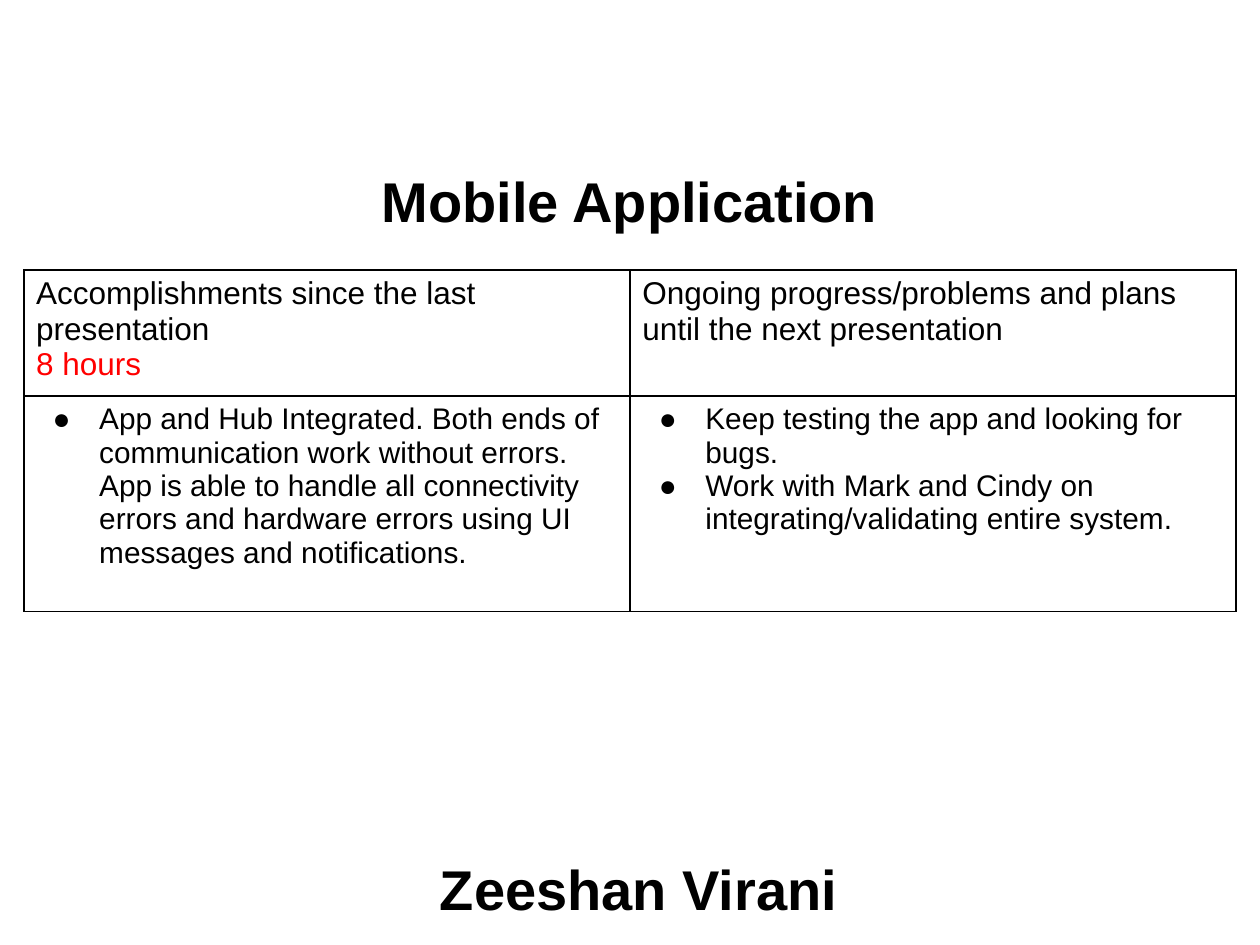
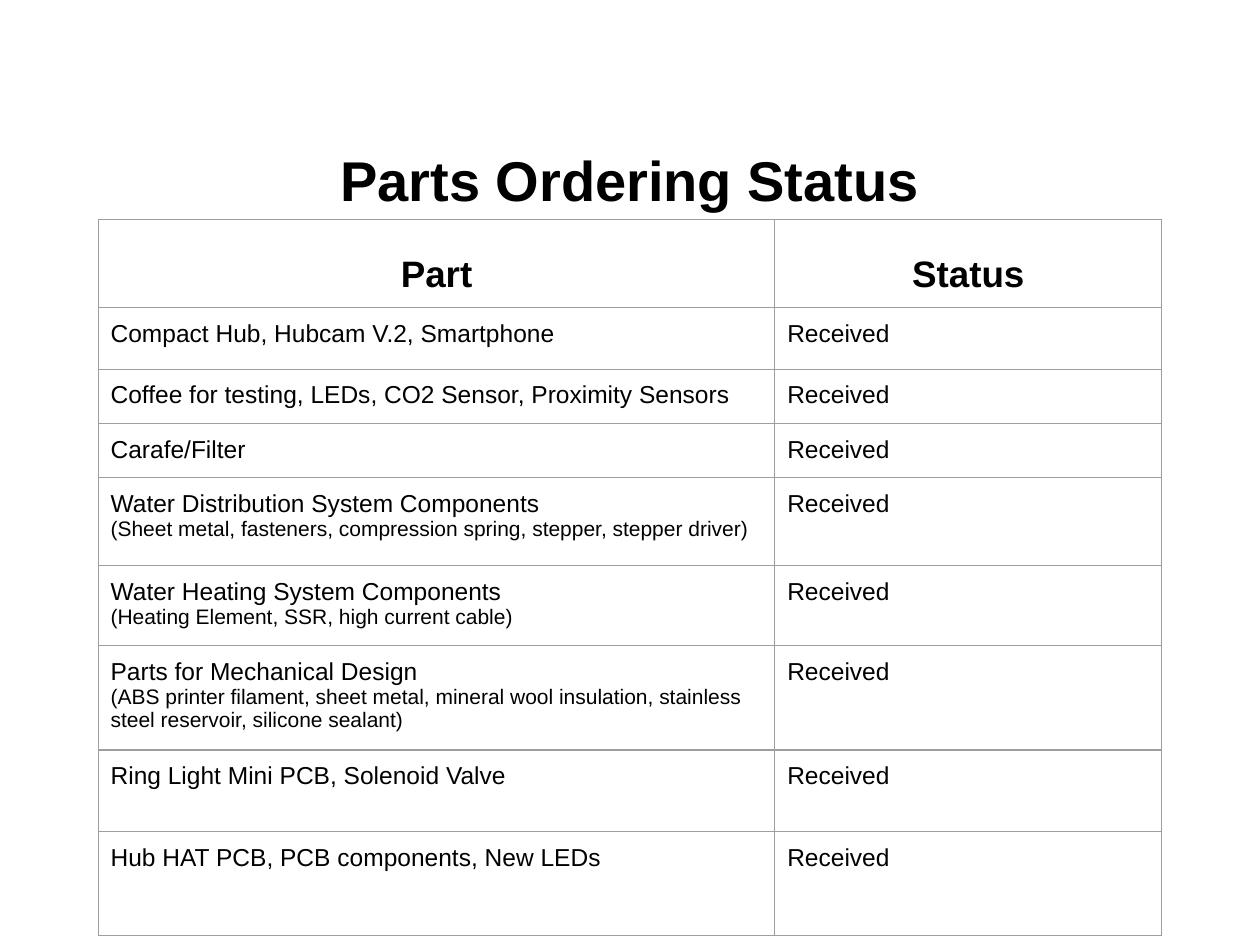
from dataclasses import dataclass

from lxml import etree
from pptx import Presentation
from pptx.dml.color import RGBColor
from pptx.enum.text import MSO_ANCHOR, PP_ALIGN
from pptx.oxml.ns import qn
from pptx.util import Cm, Pt

LEFT, CENTER = PP_ALIGN.LEFT, PP_ALIGN.CENTER
TOP, MIDDLE, BOTTOM = MSO_ANCHOR.TOP, MSO_ANCHOR.MIDDLE, MSO_ANCHOR.BOTTOM
BLANK = 6


@dataclass(frozen=True)
class Theme:
    font: str = "Arial"
    ink: str = "000000"
    paper: str = "FFFFFF"
    alert: str = "FF0000"
    rule: str = "9E9E9E"
    title: int = 32
    head: int = 21
    topic: int = 18
    point: int = 17
    body: int = 14
    note: int = 12
    pad: float = 0.25
    slim: float = 0.13
    indent: float = 1.27
    hang: float = 0.94


THEME = Theme()


def apply(item, values):
    for name, value in values.items():
        setattr(item, name, value)


def pads(side, edge):
    return {"margin_left": Cm(side), "margin_right": Cm(side),
            "margin_top": Cm(edge), "margin_bottom": Cm(edge)}


def line(text, size, color=THEME.ink, bold=False, align=LEFT, indent=0, mark=None):
    """Describe one paragraph."""
    return {"text": text, "size": size, "color": color, "bold": bold,
            "align": align, "indent": indent, "mark": mark}


def write(frame, lines):
    for at, item in enumerate(lines):
        para = frame.paragraphs[0] if at == 0 else frame.add_paragraph()
        para.alignment = item["align"]
        run = para.add_run()
        run.text = item["text"]
        apply(run.font, {"name": THEME.font, "size": Pt(item["size"]),
                         "bold": item["bold"]})
        run.font.color.rgb = RGBColor.from_string(item["color"])

        # Indent and bullet
        props = para._p.get_or_add_pPr()
        if item["indent"]:
            hang = THEME.hang if item["mark"] else 0
            props.set("marL", str(Cm(item["indent"])))
            props.set("indent", str(-Cm(hang)))
        if item["mark"]:
            tint = etree.SubElement(props, qn("a:buClr"))
            etree.SubElement(tint, qn("a:srgbClr"), val=THEME.ink)
            etree.SubElement(props, qn("a:buFont"), typeface=THEME.font)
            etree.SubElement(props, qn("a:buChar"), char=item["mark"])


def point(text, mark="●"):
    return line(text, THEME.point, indent=THEME.indent, mark=mark)


def add_title(slide, text, left, top):
    box = slide.shapes.add_textbox(Cm(left), Cm(top), Cm(22.86), Cm(2.24))
    frame = box.text_frame
    apply(frame, {"word_wrap": True, "vertical_anchor": MIDDLE,
                  **pads(THEME.pad, THEME.slim)})
    write(frame, [line(text, THEME.title, bold=True, align=CENTER)])


def edge_cell(cell, color, width):
    props = cell._tc.get_or_add_tcPr()
    for side in ("lnL", "lnR", "lnT", "lnB"):
        edge = etree.SubElement(props, qn(f"a:{side}"), w=str(Pt(width)))
        fill = etree.SubElement(edge, qn("a:solidFill"))
        etree.SubElement(fill, qn("a:srgbClr"), val=color)


def add_grid(slide, left, top, cols, rows, cells, edge, inset, head=TOP):
    """Place a ruled table; cells holds lists of lines, row by row."""
    shape = slide.shapes.add_table(len(rows), len(cols), Cm(left), Cm(top),
                                   Cm(sum(cols)), Cm(sum(rows)))
    table = shape.table
    apply(table, {"first_row": False, "horz_banding": False})
    for col, width in zip(table.columns, cols):
        col.width = Cm(width)
    for at, (row, height) in enumerate(zip(table.rows, rows)):
        row.height = Cm(height)
        for cell, lines in zip(row.cells, cells[at]):
            anchor = TOP if at else head
            apply(cell, {"vertical_anchor": anchor, **pads(THEME.pad, inset)})
            edge_cell(cell, *edge)
            cell.fill.solid()
            cell.fill.fore_color.rgb = RGBColor.from_string(THEME.paper)
            write(cell.text_frame, lines)


def build_report(slide):
    """Progress of one member: done on the left, planned on the right."""
    add_title(slide, "Mobile Application", 1.27, 2.92)
    heads = [
        [line("Accomplishments since the last presentation", THEME.topic),
         line("8 hours", THEME.topic, THEME.alert)],
        [line("Ongoing progress/problems and plans until the next presentation",
              THEME.topic)],
    ]
    points = [
        [point("App and Hub Integrated. Both ends of communication work "
               "without errors."),
         point("App is able to handle all connectivity errors and hardware "
               "errors using UI messages and notifications.", mark=None)],
        [point("Keep testing the app and looking for bugs."),
         point("Work with Mark and Cindy on integrating/validating entire "
               "system.")],
    ]
    add_grid(slide, 0.48, 5.44, [12.22] * 2, [2.38, 4.34], [heads, points],
             (THEME.ink, 1), THEME.slim)
    add_title(slide, "Zeeshan Virani", 1.45, 16.79)


def build_parts(slide):
    """Order list: part, optional detail, row height."""
    add_title(slide, "Parts Ordering Status", 1.27, 2.49)
    parts = [
        ("Compact Hub, Hubcam V.2, Smartphone", "", 1.24),
        ("Coffee for testing, LEDs, CO2 Sensor, Proximity Sensors", "", 1.07),
        ("Carafe/Filter", "", 1.07),
        ("Water Distribution System Components",
         "(Sheet metal, fasteners, compression spring, stepper, stepper driver)",
         1.78),
        ("Water Heating System Components",
         "(Heating Element, SSR, high current cable)", 1.57),
        ("Parts for Mechanical Design",
         "(ABS printer filament, sheet metal, mineral wool insulation, "
         "stainless steel reservoir, silicone sealant)", 2.08),
        ("Ring Light Mini PCB, Solenoid Valve", "", 1.65),
        ("Hub HAT PCB, PCB components, New LEDs", "", 2.08),
    ]
    cells = [[[line(text, THEME.head, bold=True, align=CENTER)]
              for text in ("Part", "Status")]]
    for name, note, _ in parts:
        lines = [line(name, THEME.body)]
        if note:
            lines.append(line(note, THEME.note))
        cells.append([lines, [line("Received", THEME.body)]])
    rows = [1.78] + [height for _, _, height in parts]
    add_grid(slide, 1.98, 4.42, [13.64, 7.8], rows, cells,
             (THEME.rule, 0.75), THEME.pad, head=BOTTOM)


def main():
    deck = Presentation()
    apply(deck, {"slide_width": Cm(25.4), "slide_height": Cm(19.05)})
    for build in (build_report, build_parts):
        build(deck.slides.add_slide(deck.slide_layouts[BLANK]))
    deck.save("out.pptx")


if __name__ == "__main__":
    main()
